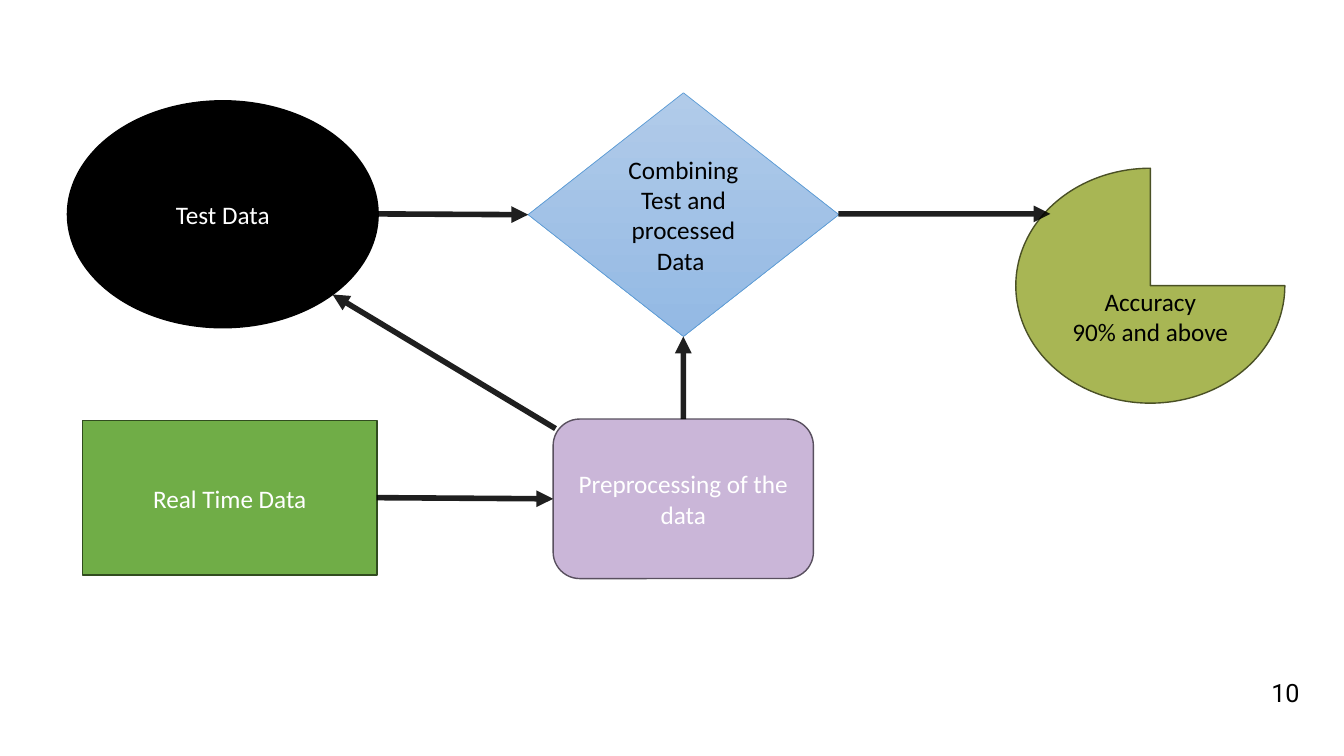
from lxml import etree
from pptx import Presentation
from pptx.dml.color import RGBColor
from pptx.enum.shapes import MSO_CONNECTOR, MSO_SHAPE
from pptx.enum.text import MSO_ANCHOR, PP_ALIGN
from pptx.oxml.ns import qn
from pptx.util import Cm, Pt

ELLIPSE, RECT = MSO_SHAPE.OVAL, MSO_SHAPE.RECTANGLE
ROUNDED, DIAMOND = MSO_SHAPE.ROUNDED_RECTANGLE, MSO_SHAPE.DIAMOND
PIE = MSO_SHAPE.PIE
STRAIGHT = MSO_CONNECTOR.STRAIGHT
CENTER, MIDDLE = PP_ALIGN.CENTER, MSO_ANCHOR.MIDDLE


def rgb(color):
    return RGBColor.from_string(color)


def add_text(tf, text, font="Calibri", size=18, color="000000"):
    tf.word_wrap = True
    tf.vertical_anchor = MIDDLE
    for i, line in enumerate(text.split("\n")):
        p = tf.paragraphs[0] if i == 0 else tf.add_paragraph()
        p.alignment = CENTER
        r = p.add_run()
        r.text = line
        r.font.name, r.font.size = font, Pt(size)
        r.font.color.rgb = rgb(color)


class FlowSlide:
    arrow_color, arrow_width, arrow_alpha = "000000", 4, 88

    def __init__(self, prs):
        self.s = prs.slides.add_slide(prs.slide_layouts[6])

    def label(self, box, text, **fmt):
        tb = self.s.shapes.add_textbox(*map(Cm, box))
        add_text(tb.text_frame, text, **fmt)

    def node(self, kind, box, text, fills, line, width=1, top=0.13, **fmt):
        sp = self.s.shapes.add_shape(kind, *map(Cm, box))
        sp.shadow.inherit = False
        if len(fills) == 1:
            sp.fill.solid()
            sp.fill.fore_color.rgb = rgb(fills[0])
        else:
            sp.fill.gradient()
            sp.fill.gradient_angle = 270
            for stop, color in zip(sp.fill.gradient_stops, fills):
                stop.color.rgb = rgb(color)
        sp.line.color.rgb = rgb(line)
        sp.line.width = Pt(width)
        sp.text_frame.margin_top = Cm(top)
        add_text(sp.text_frame, text, **fmt)

    def arrow(self, start, end):
        c = self.s.shapes.add_connector(STRAIGHT, *map(Cm, start + end))
        c.line.color.rgb = rgb(self.arrow_color)
        c.line.width = Pt(self.arrow_width)
        spPr = c._element.spPr
        clr = spPr.find(".//" + qn("a:srgbClr"))
        etree.SubElement(clr, qn("a:alpha"), val=str(self.arrow_alpha * 1000))
        etree.SubElement(spPr.find(qn("a:ln")), qn("a:tailEnd"), type="triangle")
        etree.SubElement(spPr, qn("a:effectLst"))


def main():
    prs = Presentation()
    prs.slide_width, prs.slide_height = Cm(33.87), Cm(19.05)
    flow = FlowSlide(prs)

    # Slide number
    flow.label((31.57, 16.94, 1.65, 1.02), "10", font="Roboto")

    # Data sources and preprocessing
    flow.node(ELLIPSE, (1.7, 2.54, 7.83, 5.72), "Test Data",
              ["000000"], "000000", color="FFFFFF")
    flow.node(RECT, (2.08, 10.6, 7.42, 3.89), "Real Time Data",
              ["70AD47"], "314C1F", color="FFFFFF")
    flow.node(ROUNDED, (13.94, 10.56, 6.56, 4.02), "Preprocessing of the data",
              ["CAB6D8"], "59505F", color="FFFFFF")

    # Combination and result
    flow.node(DIAMOND, (13.31, 2.34, 7.83, 6.14),
              "Combining Test and processed Data ",
              ["B1CBE9", "93B9E4"], "5B9BD5", width=0.5)
    flow.node(PIE, (25.6, 4.24, 6.78, 5.92), "Accuracy\n90% and above",
              ["A8B654"], "4A5025", top=1.68)

    # Arrows
    for start, end in [
        ((9.53, 5.39), (13.31, 5.41)),
        ((9.49, 12.54), (13.94, 12.57)),
        ((17.22, 10.56), (17.22, 8.48)),
        ((21.13, 5.39), (26.47, 5.39)),
        ((14, 10.8), (8.38, 7.42)),
    ]:
        flow.arrow(start, end)

    prs.save("out.pptx")


if __name__ == "__main__":
    main()
